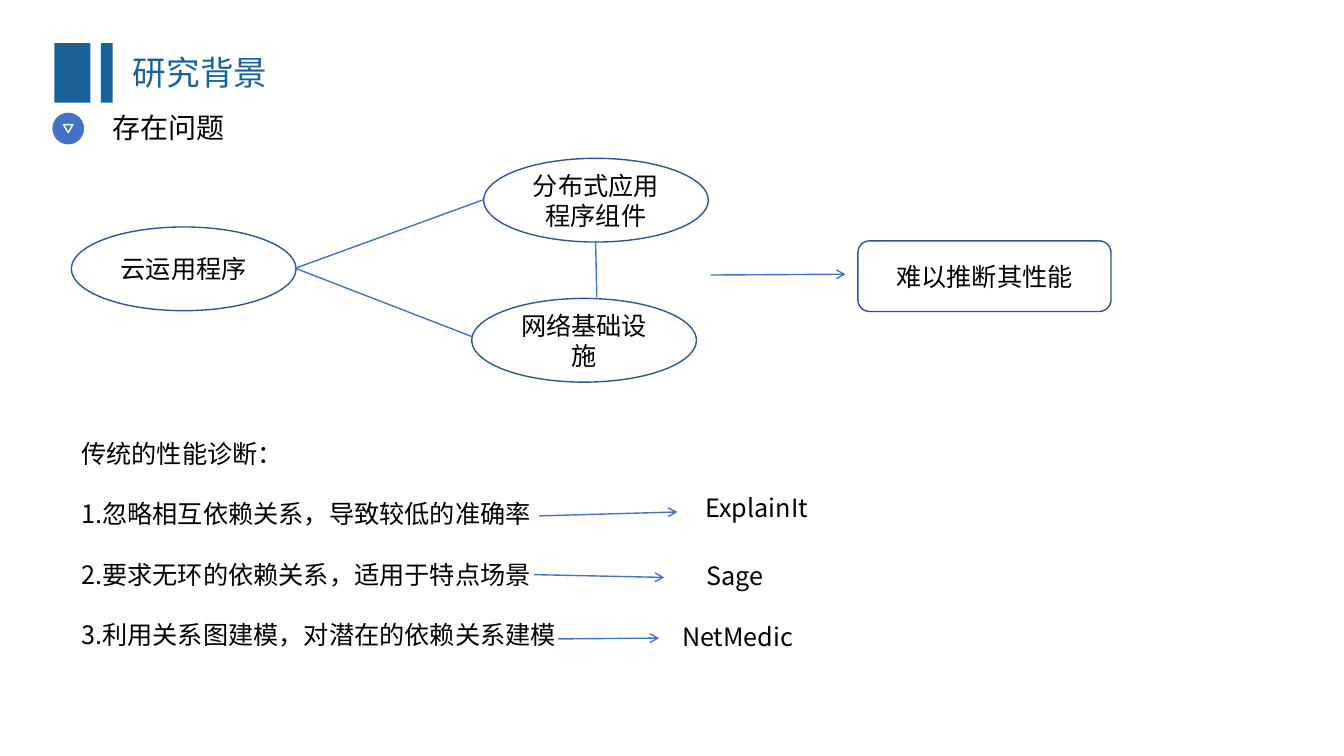
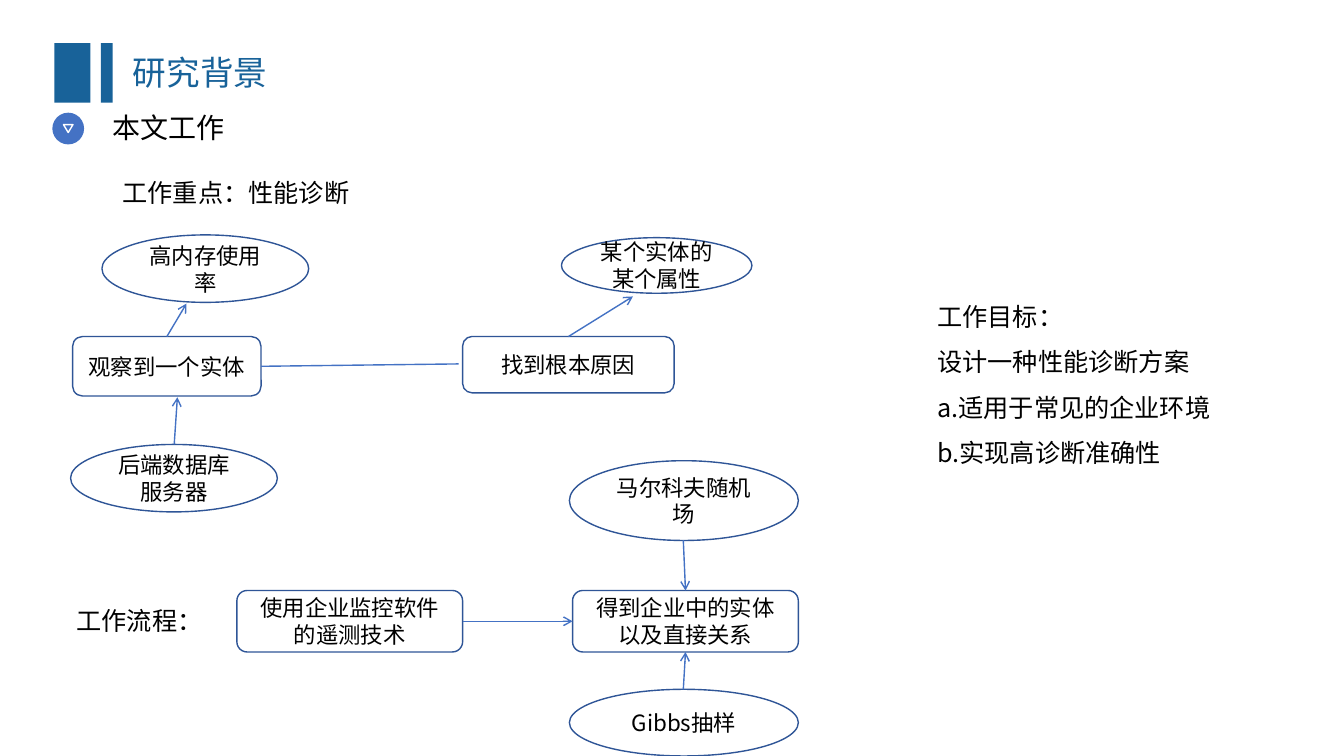
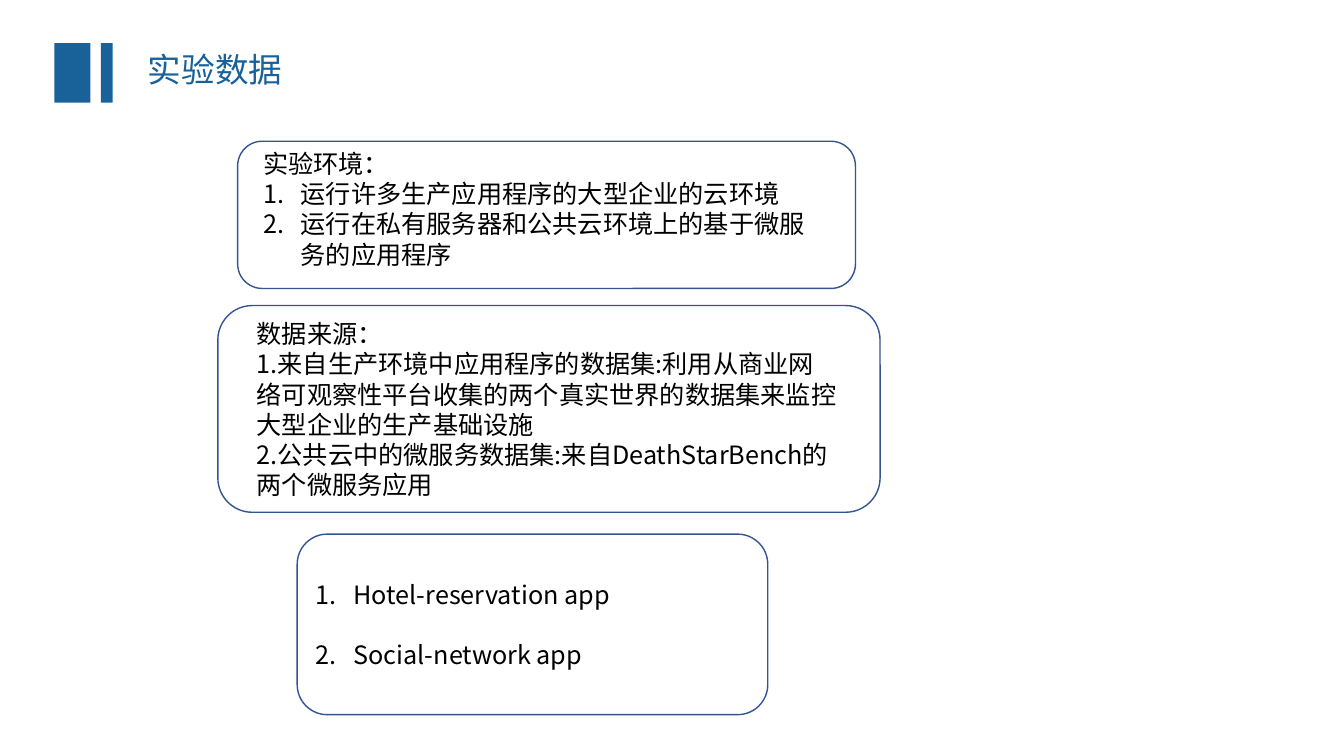
from dataclasses import dataclass

import pptx
import pptx.dml.color
import pptx.enum.shapes
import pptx.enum.text
import pptx.oxml.ns
import pptx.util
from lxml import etree

Cm = pptx.util.Cm
Pt = pptx.util.Pt
qn = pptx.oxml.ns.qn
RGB = pptx.dml.color.RGBColor.from_string
SHAPE = pptx.enum.shapes.MSO_SHAPE
ALIGN = pptx.enum.text.PP_ALIGN
ANCHOR = pptx.enum.text.MSO_ANCHOR
AUTO_SIZE = pptx.enum.text.MSO_AUTO_SIZE
TOP, LEFT, BOTTOM, RIGHT = range(4)


@dataclass(frozen=True)
class Theme:
    title: str = "186299"
    text: str = "000000"
    white: str = "FFFFFF"
    accent: str = "4472C4"
    outline: str = "2F5597"
    panel_outline: str = "325491"
    title_font: str = "Times New Roman"
    body_font: str = "Noto Sans CJK SC"
    title_size: int = 24
    subtitle_size: int = 20
    body_size: int = 18
    small_size: int = 16
    line_width: float = 1
    number_indent: float = 0.95
    blank_line: float = 21.6


THEME = Theme()


def apply_format(target, values):
    for name, value in values.items():
        setattr(target, name, value)


def write(frame, lines, size=THEME.body_size, color=THEME.text,
          font=THEME.body_font, numbered_from=None, gap=0, **paragraph_format):
    """Fill a frame; lines from index numbered_from on are auto-numbered."""
    for index, line in enumerate(lines):
        paragraph = frame.paragraphs[0] if index == 0 else frame.add_paragraph()
        if numbered_from is not None and index >= numbered_from:
            add_number(paragraph)
        apply_format(paragraph, paragraph_format)
        if index and gap:
            paragraph.space_before = Pt(gap)
        run = paragraph.add_run()
        run.text = line
        apply_format(run.font, {"size": Pt(size), "name": font})
        run.font.color.rgb = RGB(color)
        east_asian = etree.SubElement(run.font._element, qn("a:ea"))
        east_asian.set("typeface", THEME.body_font)


def add_number(paragraph):
    properties = paragraph._p.get_or_add_pPr()
    indent = Cm(THEME.number_indent)
    properties.set("marL", str(indent))
    properties.set("indent", str(-indent))
    etree.SubElement(properties, qn("a:buFont")).set("typeface", "+mj-lt")
    etree.SubElement(properties, qn("a:buAutoNum")).set("type", "arabicPeriod")


def add_label(slide, box, *lines, wrap=True, **text_format):
    label = slide.shapes.add_textbox(*map(Cm, box))
    apply_format(label.text_frame, {"word_wrap": wrap,
                                    "auto_size": AUTO_SIZE.SHAPE_TO_FIT_TEXT})
    write(label.text_frame, lines, **text_format)


def add_figure(slide, kind, box, fill=None, outline=None):
    figure = slide.shapes.add_shape(kind, *map(Cm, box))
    figure.shadow.inherit = False
    if fill:
        figure.fill.solid()
        figure.fill.fore_color.rgb = RGB(fill)
    else:
        figure.fill.background()
    if outline:
        figure.line.color.rgb = RGB(outline)
        figure.line.width = Pt(THEME.line_width)
    else:
        figure.line.fill.background()
    return figure


def add_node(slide, kind, box, text, size=THEME.body_size):
    node = add_figure(slide, kind, box, outline=THEME.outline)
    apply_format(node.text_frame, {"word_wrap": True,
                                   "vertical_anchor": ANCHOR.MIDDLE})
    write(node.text_frame, [text], size=size, alignment=ALIGN.CENTER)
    return node


def add_panel(slide, box):
    return add_figure(slide, SHAPE.ROUNDED_RECTANGLE, box,
                      outline=THEME.panel_outline)


def add_link(slide, start, end, arrow=True):
    """Each end is an (x, y) point or a (node, side) pair to join."""
    joined = [not isinstance(point[0], (int, float)) for point in (start, end)]
    points = [(0, 0) if join else point
              for join, point in zip(joined, (start, end))]
    link = slide.shapes.add_connector(
        pptx.enum.shapes.MSO_CONNECTOR.STRAIGHT,
        *(Cm(value) for point in points for value in point))
    if joined[0]:
        link.begin_connect(*start)
    if joined[1]:
        link.end_connect(*end)
    link.line.color.rgb = RGB(THEME.accent)
    link.line.width = Pt(THEME.line_width)
    if arrow:
        etree.SubElement(link.line._get_or_add_ln(),
                         qn("a:tailEnd")).set("type", "arrow")
    etree.SubElement(link._element.spPr, qn("a:effectLst"))


def add_page(deck, title, title_at=(3.1, 1.19), subtitle=None):
    slide = deck.slides.add_slide(deck.slide_layouts[6])
    for left, width in ((1.37, 0.91), (2.54, 0.3)):
        add_figure(slide, SHAPE.RECTANGLE, (left, 1.09, width, 1.5),
                   fill=THEME.title)
    add_label(slide, (*title_at, 3.9, 1.27), title, wrap=False,
              size=THEME.title_size, color=THEME.title, font=THEME.title_font)
    if subtitle:
        add_figure(slide, SHAPE.OVAL, (1.32, 2.84, 0.8, 0.8), fill=THEME.accent)
        add_figure(slide, SHAPE.FLOWCHART_MERGE, (1.6, 3.14, 0.24, 0.2),
                   outline=THEME.white)
        add_label(slide, (2.59, 2.67, 25.12, 1.12), subtitle,
                  size=THEME.subtitle_size, font=THEME.title_font)
    return slide


def build_problems(deck):
    slide = add_page(deck, "研究背景", subtitle="存在问题")
    for left, top, text in ((1.8, 5.72, "云运用程序"),
                            (12.19, 3.99, "分布式应用程序组件"),
                            (11.89, 7.52, "网络基础设施")):
        add_node(slide, SHAPE.OVAL, (left, top, 5.66, 2.11), text)
    cloud_edge = (7.44, 6.76)
    add_link(slide, cloud_edge, (12.19, 5.03), arrow=False)
    add_link(slide, cloud_edge, (11.89, 8.48), arrow=False)
    add_link(slide, (15.01, 6.07), (15.04, 7.49), arrow=False)
    add_link(slide, (17.91, 6.93), (21.31, 6.91))
    add_node(slide, SHAPE.ROUNDED_RECTANGLE, (21.62, 6.07, 6.38, 1.78),
             "难以推断其性能")

    add_label(slide, (1.8, 10.92, 18.8, 5.64),
              "传统的性能诊断：",
              "1.忽略相互依赖关系，导致较低的准确率",
              "2.要求无环的依赖关系，适用于特点场景",
              "3.利用关系图建模，对潜在的依赖关系建模",
              gap=THEME.blank_line)
    for start, end, name_at, name in (
            ((13.59, 13), (17.07, 12.9), (17.53, 12.29), "ExplainIt"),
            ((13.46, 14.48), (16.74, 14.55), (17.55, 14), "Sage"),
            ((14.07, 16.1), (16.61, 16.08), (16.94, 15.54), "NetMedic")):
        add_link(slide, start, end)
        add_label(slide, (*name_at, 16, 1.02), name)


def build_work(deck):
    slide = add_page(deck, "研究背景", subtitle="本文工作")
    add_label(slide, (2.84, 4.34, 12.57, 1.02), "工作重点：性能诊断")

    observed, cause, telemetry, entities = (
        add_node(slide, SHAPE.ROUNDED_RECTANGLE, box, text, THEME.small_size)
        for box, text in (
            ((1.83, 8.48, 4.75, 1.5), "观察到一个实体"),
            ((11.66, 8.48, 5.33, 1.42), "找到根本原因"),
            ((5.97, 14.88, 5.69, 1.55), "使用企业监控软件的遥测技术"),
            ((14.43, 14.88, 5.69, 1.55), "得到企业中的实体以及直接关系")))
    for box, text in (((1.78, 11.2, 5.21, 1.7), "后端数据库服务器"),
                      ((2.57, 5.92, 5.21, 1.7), "高内存使用率"),
                      ((14.15, 5.99, 4.8, 1.4), "某个实体的某个属性"),
                      ((14.35, 11.61, 5.77, 2.01), "马尔科夫随机场"),
                      ((14.35, 17.37, 5.77, 1.68), "Gibbs抽样")):
        add_node(slide, SHAPE.OVAL, box, text, THEME.small_size)

    add_link(slide, (4.39, 11.2), (4.47, 10.01))
    add_link(slide, (observed, TOP), (4.7, 7.65))
    add_link(slide, (observed, RIGHT), (11.56, 9.17), arrow=False)
    add_link(slide, (cause, TOP), (15.95, 7.47))
    add_link(slide, (telemetry, RIGHT), (entities, LEFT))
    add_link(slide, (17.22, 13.61), (entities, TOP))
    add_link(slide, (17.22, 17.37), (entities, BOTTOM))

    add_label(slide, (23.37, 7.09, 8.15, 4.88),
              "工作目标：", "设计一种性能诊断方案",
              "a.适用于常见的企业环境", "b.实现高诊断准确性",
              line_spacing=1.5)
    add_label(slide, (1.68, 15.14, 4, 1.02), "工作流程：")


def build_data(deck):
    slide = add_page(deck, "实验数据", title_at=(3.48, 1.12))
    add_panel(slide, (5.99, 3.56, 15.57, 3.71))
    add_label(slide, (6.38, 3.61, 14.66, 3.33),
              "实验环境：",
              "运行许多生产应用程序的大型企业的云环境",
              "运行在私有服务器和公共云环境上的基于微服务的应用程序",
              numbered_from=1)
    add_panel(slide, (5.49, 7.7, 16.69, 5.21))
    add_label(slide, (6.22, 7.9, 15.16, 4.88),
              "数据来源：",
              "1.来自生产环境中应用程序的数据集:利用从商业网络可观察性平台"
              "收集的两个真实世界的数据集来监控大型企业的生产基础设施",
              "2.公共云中的微服务数据集:来自DeathStarBench的两个微服务应用")
    apps = add_panel(slide, (7.49, 13.46, 11.86, 4.55))
    apps.text_frame.vertical_anchor = ANCHOR.MIDDLE
    write(apps.text_frame, ["Hotel-reservation app", "Social-network app"],
          numbered_from=0, gap=THEME.blank_line, alignment=ALIGN.LEFT)


def main():
    deck = pptx.Presentation()
    apply_format(deck, {"slide_width": Cm(33.87), "slide_height": Cm(19.05)})
    build_problems(deck)
    build_work(deck)
    build_data(deck)
    deck.save("out.pptx")


if __name__ == "__main__":
    main()
